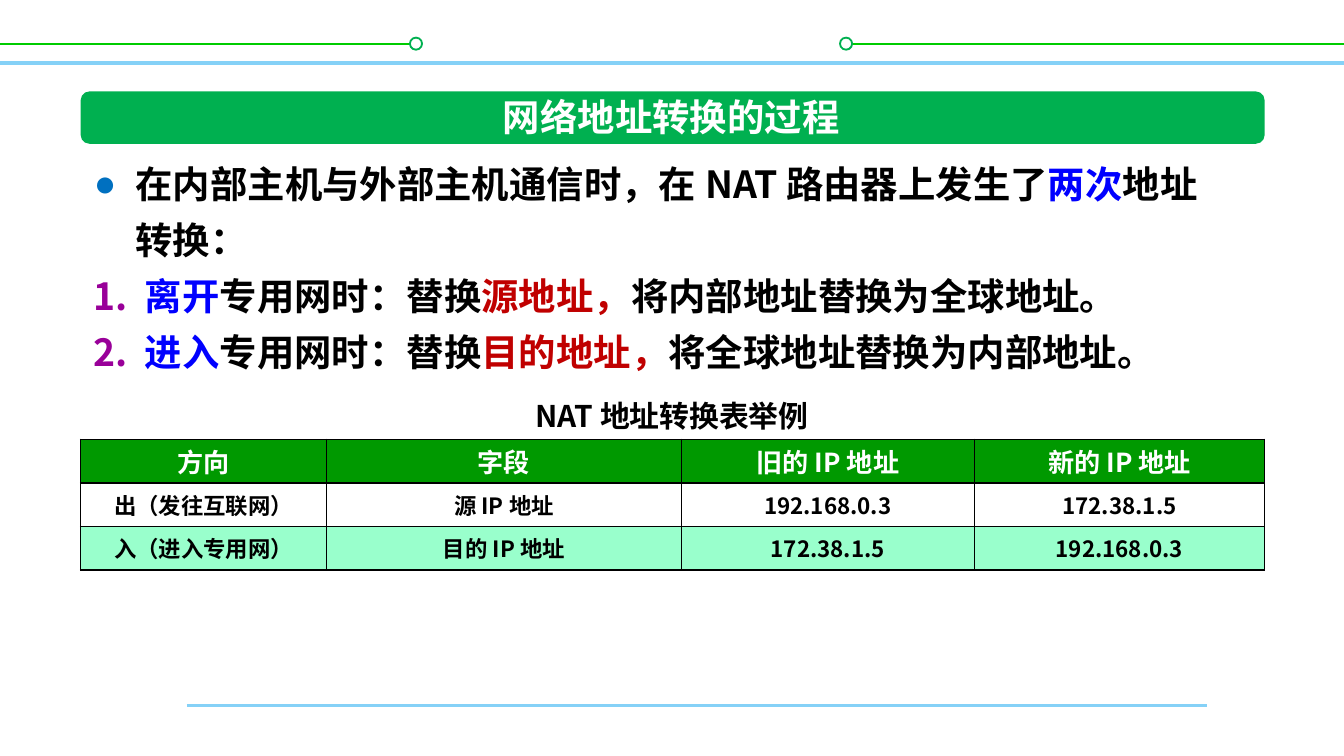
from dataclasses import dataclass

from lxml import etree
from pptx import Presentation
from pptx.dml.color import RGBColor
from pptx.enum import shapes, text
from pptx.oxml import ns
from pptx.util import Inches, Pt


@dataclass(frozen=True)
class Theme:
    font: str = "Noto Sans CJK SC"
    bullet_font: str = "Arial"
    black: str = "000000"
    white: str = "FFFFFF"
    blue: str = "0000FF"
    red: str = "C00000"
    sky: str = "85D1F7"
    lime: str = "00CC00"
    green: str = "00B050"
    header: str = "009900"
    mint: str = "99FFCC"
    bullet: str = "0070C0"
    number: str = "990099"
    heading_size: int = 20
    caption_size: int = 16
    header_size: int = 14
    cell_size: int = 12


theme = Theme()

TITLE = "网络地址转换的过程"
CAPTION = "NAT 地址转换表举例"
POINTS = [
    ("●", [("在内部主机与外部主机通信时，在 NAT 路由器上发生了", theme.black),
           ("两次", theme.blue), ("地址转换：", theme.black)]),
    (None, [("离开", theme.blue), ("专用网时：替换", theme.black),
            ("源地址，", theme.red), ("将内部地址替换为全球地址。", theme.black)]),
    (None, [("进入", theme.blue), ("专用网时：替换", theme.black),
            ("目的地址，", theme.red), ("将全球地址替换为内部地址。", theme.black)]),
]
TABLE = [
    ("方向", "字段", "旧的 IP 地址", "新的 IP 地址"),
    ("出（发往互联网）", "源 IP 地址", "192.168.0.3", "172.38.1.5"),
    ("入（进入专用网）", "目的 IP 地址", "172.38.1.5", "192.168.0.3"),
]
ROW_STYLES = [
    (theme.header, theme.white, theme.header_size),
    (None, theme.black, theme.cell_size),
    (theme.mint, theme.black, theme.cell_size),
]
COLUMN_WIDTHS = [1.83, 2.64, 2.18, 2.16]
TABLE_HEIGHT = 0.97
LEFT, WIDTH = 0.6, 8.81
RULES = [
    (1.39, 8.98, 5.25, theme.sky, 1.5),
    (0, 10, 0.47, theme.sky, 2),
    (0, 3.1, 0.33, theme.lime, 1),
    (6.25, 10, 0.33, theme.lime, 1),
]
RING_LEFTS = [3.05, 6.25]


def color(value):
    return RGBColor.from_string(value)


def add_element(parent, tag, **attributes):
    return etree.SubElement(parent, ns.qn(tag), attributes)


def style(paragraph, size, ink=None):
    font = paragraph.font
    font.name, font.size, font.bold = theme.font, Pt(size), True
    if ink:
        font.color.rgb = color(ink)
    defaults = paragraph._p.pPr.find(ns.qn("a:defRPr"))
    add_element(defaults, "a:ea", typeface=theme.font)


def add_rule(slide, start, end, y, ink, weight):
    rule = slide.shapes.add_connector(
        shapes.MSO_CONNECTOR.STRAIGHT, Inches(start), Inches(y), Inches(end), Inches(y))
    rule.line.color.rgb = color(ink)
    rule.line.width = Pt(weight)
    add_element(rule._element.spPr, "a:effectLst")


def add_panel(slide, kind, box, fill, line=None):
    shape = slide.shapes.add_shape(kind, *map(Inches, box))
    shape.shadow.inherit = False
    shape.fill.solid()
    shape.fill.fore_color.rgb = color(fill)
    if line:
        shape.line.color.rgb = color(line)
        shape.line.width = Pt(1)
    else:
        shape.line.fill.background()
    return shape


def add_text_frame(slide, box, wrap=True):
    frame = slide.shapes.add_textbox(*map(Inches, box)).text_frame
    frame.word_wrap = wrap
    frame.auto_size = text.MSO_AUTO_SIZE.SHAPE_TO_FIT_TEXT
    return frame


def add_label(slide, box, content, size, ink, wrap=True):
    paragraph = add_text_frame(slide, box, wrap).paragraphs[0]
    paragraph.text = content
    paragraph.alignment = text.PP_ALIGN.CENTER
    style(paragraph, size, ink)


def add_points(slide, box):
    frame = add_text_frame(slide, box)
    for index, (mark, runs) in enumerate(POINTS):
        paragraph = frame.add_paragraph() if index else frame.paragraphs[0]
        paragraph.line_spacing = Pt(30)
        properties = paragraph._p.get_or_add_pPr()
        indent = Inches(0.31 if mark else 0.38)
        properties.set("marL", str(indent))
        properties.set("indent", str(-indent))
        ink = add_element(properties, "a:buClr")
        add_element(ink, "a:srgbClr", val=theme.bullet if mark else theme.number)
        add_element(properties, "a:buFont",
                    typeface=theme.bullet_font if mark else theme.font)
        if mark:
            add_element(properties, "a:buChar", char=mark)
        else:
            add_element(properties, "a:buAutoNum", type="arabicPeriod")
        style(paragraph, theme.heading_size)
        for content, run_ink in runs:
            run = paragraph.add_run()
            run.text = content
            run.font.color.rgb = color(run_ink)


def add_borders(cell):
    properties = cell._tc.get_or_add_tcPr()
    for index, side in enumerate(("a:lnL", "a:lnR", "a:lnT", "a:lnB")):
        border = etree.Element(ns.qn(side), w=str(Pt(1)))
        fill = add_element(border, "a:solidFill")
        add_element(fill, "a:srgbClr", val=theme.black)
        properties.insert(index, border)


def add_address_table(slide, top):
    table = slide.shapes.add_table(
        len(TABLE), len(COLUMN_WIDTHS), Inches(LEFT), Inches(top),
        Inches(WIDTH), Inches(TABLE_HEIGHT)).table
    for column, width in zip(table.columns, COLUMN_WIDTHS):
        column.width = Inches(width)
    for row, contents, (fill, ink, size) in zip(table.rows, TABLE, ROW_STYLES):
        row.height = Inches(TABLE_HEIGHT / len(TABLE))
        for cell, content in zip(row.cells, contents):
            cell.text = content
            cell.vertical_anchor = text.MSO_ANCHOR.MIDDLE
            cell.margin_left = cell.margin_right = Inches(0.07)
            cell.margin_top = cell.margin_bottom = 0
            if fill:
                cell.fill.solid()
                cell.fill.fore_color.rgb = color(fill)
            else:
                cell.fill.background()
            add_borders(cell)
            paragraph = cell.text_frame.paragraphs[0]
            paragraph.alignment = text.PP_ALIGN.CENTER
            style(paragraph, size, ink)


def main():
    presentation = Presentation()
    presentation.slide_width = Inches(10)
    presentation.slide_height = presentation.slide_width * 9 // 16
    slide = presentation.slides.add_slide(presentation.slide_layouts[6])
    for rule in RULES:
        add_rule(slide, *rule)
    for left in RING_LEFTS:
        add_panel(slide, shapes.MSO_SHAPE.OVAL, (left, 0.28, 0.09, 0.09),
                  theme.white, theme.green)
    add_points(slide, (LEFT, 1.07, 8.66, 1.78))
    banner = add_panel(slide, shapes.MSO_SHAPE.ROUNDED_RECTANGLE,
                       (LEFT, 0.68, WIDTH, 0.39), theme.green)
    banner.adjustments[0] = 0.17
    add_label(slide, (2.12, 0.65, 5.75, 0.44), TITLE, theme.heading_size, theme.white)
    add_label(slide, (3.84, 2.91, 2.32, 0.37), CAPTION, theme.caption_size,
              theme.black, wrap=False)
    add_address_table(slide, 3.27)
    presentation.save("out.pptx")


if __name__ == "__main__":
    main()
